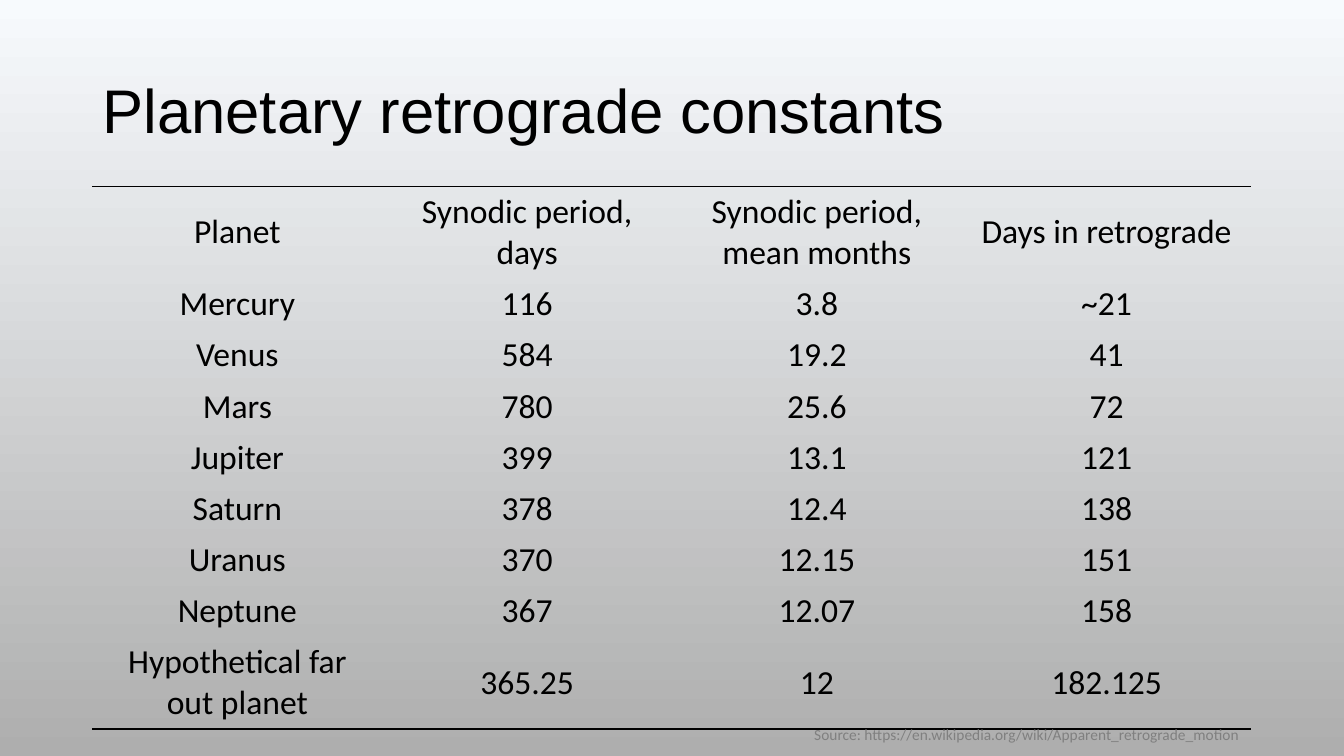
import pptx
import pptx.dml.color
import pptx.enum.text
import pptx.oxml
import pptx.oxml.ns
import pptx.util

Cm = pptx.util.Cm
Pt = pptx.util.Pt
ALIGN = pptx.enum.text.PP_ALIGN
ANCHOR = pptx.enum.text.MSO_ANCHOR

COLOURS = {"sky": "F7FAFD", "ground": "AEAEAE", "ink": "000000", "source": "808080"}

PLANETS = [
    ("Planet", "Synodic period, days", "Synodic period, mean months", "Days in retrograde"),
    ("Mercury", "116", "3.8", "~21"),
    ("Venus", "584", "19.2", "41"),
    ("Mars", "780", "25.6", "72"),
    ("Jupiter", "399", "13.1", "121"),
    ("Saturn", "378", "12.4", "138"),
    ("Uranus", "370", "12.15", "151"),
    ("Neptune", "367", "12.07", "158"),
    ("Hypothetical far out planet", "365.25", "12", "182.125"),
]
LAST = len(PLANETS) - 1
TALL_ROW = 2.3
SHORT_ROW = 1.29


def colour(name):
    return pptx.dml.color.RGBColor.from_string(COLOURS[name])


def add_span(para, text, size, font, ink="ink"):
    span = para.add_run()
    span.text = text
    span.font.size = Pt(size)
    span.font.name = font
    span.font.color.rgb = colour(ink)


def paint_background(slide):
    fill = slide.background.fill
    fill.gradient()
    fill.gradient_angle = 270
    for stop, name in zip(fill.gradient_stops, ("sky", "ground")):
        stop.color.rgb = colour(name)


def place_title(slide, left, top, width, height):
    title = slide.shapes.title
    title.left, title.top, title.width, title.height = map(Cm, (left, top, width, height))
    frame = title.text_frame
    frame.word_wrap = True
    frame.auto_size = pptx.enum.text.MSO_AUTO_SIZE.NONE
    frame.vertical_anchor = ANCHOR.MIDDLE
    para = frame.paragraphs[0]
    para.alignment = ALIGN.LEFT
    para.line_spacing = 0.9
    add_span(para, "Planetary retrograde constants", 44, "Arial")


def set_borders(cell, ruled):
    properties = cell._tc.get_or_add_tcPr()
    for index, side in enumerate(("lnL", "lnR", "lnT", "lnB")):
        if side in ruled:
            paint = f'<a:solidFill><a:srgbClr val="{COLOURS["ink"]}"/></a:solidFill>'
        else:
            paint = "<a:noFill/>"
        line = f'<a:{side} {pptx.oxml.ns.nsdecls("a")} w="{Pt(1)}">{paint}</a:{side}>'
        properties.insert(index, pptx.oxml.parse_xml(line))


def place_table(slide, left, top, width):
    heights = [TALL_ROW if row in (0, LAST) else SHORT_ROW for row in range(len(PLANETS))]
    box = slide.shapes.add_table(
        len(PLANETS), len(PLANETS[0]), Cm(left), Cm(top), Cm(width), Cm(sum(heights))
    )
    table = box.table
    table.first_row = False
    table.horz_banding = False
    for column in table.columns:
        column.width = Cm(width / len(PLANETS[0]))
    for row, values in enumerate(PLANETS):
        table.rows[row].height = Cm(heights[row])
        ruled = {0: ("lnT",), LAST: ("lnB",)}.get(row, ())
        for column, value in enumerate(values):
            cell = table.cell(row, column)
            cell.fill.background()
            cell.vertical_anchor = ANCHOR.MIDDLE
            set_borders(cell, ruled)
            para = cell.text_frame.paragraphs[0]
            para.alignment = ALIGN.CENTER
            add_span(para, value, 24, "Calibri")


def place_source(slide, left, top, width, height):
    box = slide.shapes.add_textbox(Cm(left), Cm(top), Cm(width), Cm(height))
    box.text_frame.word_wrap = True
    add_span(
        box.text_frame.paragraphs[0],
        "Source: https://en.wikipedia.org/wiki/Apparent_retrograde_motion",
        11, "Calibri", "source",
    )


def main():
    deck = pptx.Presentation()
    deck.slide_width = Cm(33.87)
    deck.slide_height = Cm(19.05)
    slide = deck.slides.add_slide(deck.slide_layouts[5])
    paint_background(slide)
    place_title(slide, 2.33, 1.01, 29.21, 3.68)
    place_table(slide, 2.33, 4.7, 29.21)
    place_source(slide, 20.27, 18.16, 13.5, 0.74)
    deck.save("out.pptx")


if __name__ == "__main__":
    main()
